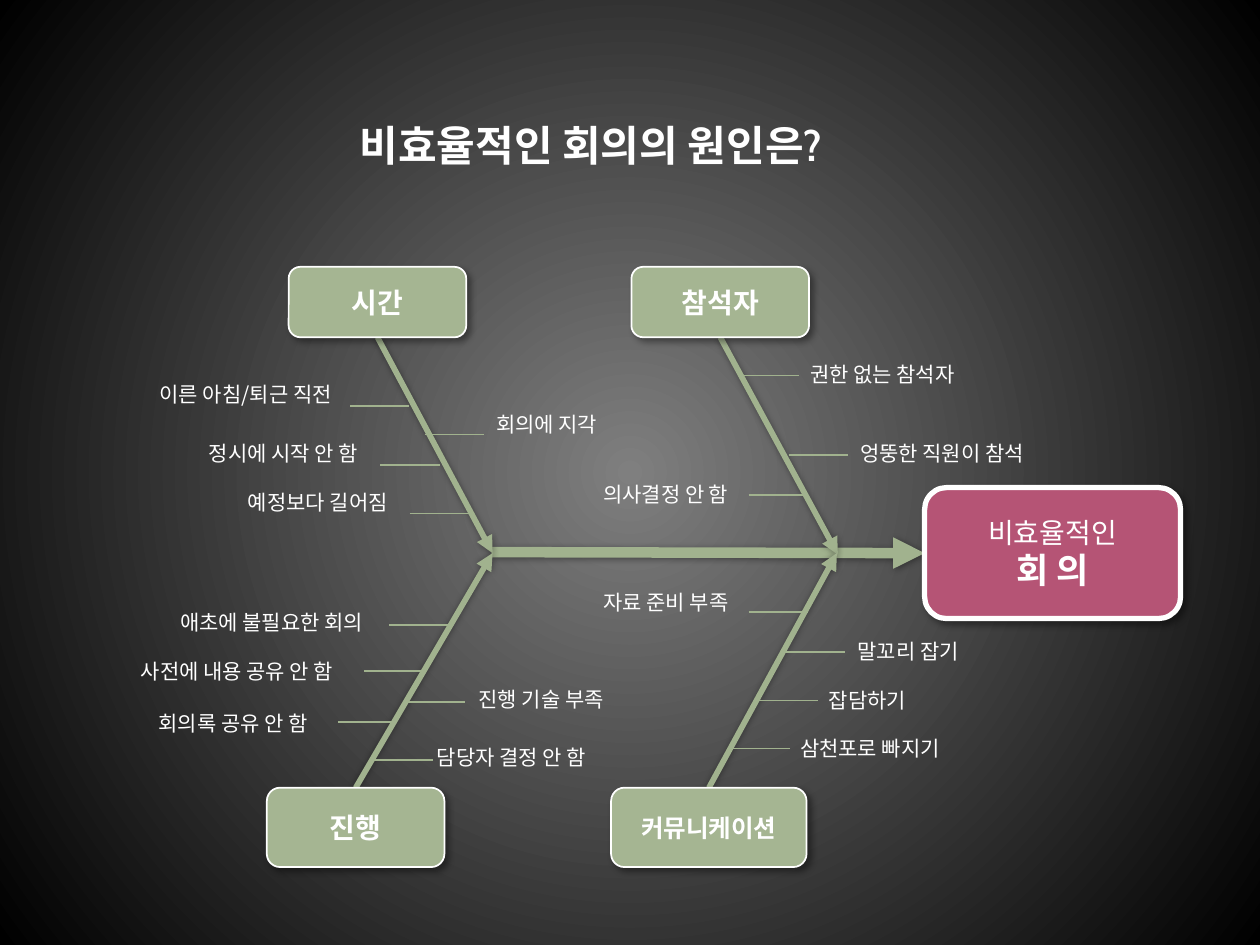
from lxml import etree
from pptx import Presentation, oxml, util as u
from pptx.dml.color import RGBColor
from pptx.enum import shapes, text
from pptx.oxml.ns import nsdecls, qn

COLORS = {"white": "FFFFFF", "line": "A1B28E", "cause": "A5B592",
          "effect": "B55475", "glow": "7F7F7F", "edge": "000000"}
FONT = "Noto Sans CJK KR"
TWIG = 1.19
TOP, BOTTOM = 0, 2

# name, box (left, top, width, height), text size, joined side, tip of the bone
CAUSES = [
    ("시간", (5.82, 5.38, 3.58, 1.42), 16, BOTTOM, (9.93, 11.15)),
    ("참석자", (12.73, 5.38, 3.58, 1.42), 16, BOTTOM, (16.89, 11.18)),
    ("진행", (5.38, 15.88, 3.58, 1.6), 16, TOP, (9.93, 11.15)),
    ("커뮤니케이션", (12.32, 15.88, 3.94, 1.6), 14, TOP, (16.87, 11.15)),
]

# wording, label (left, top, width), start of the twig (x, y)
DETAILS = [
    ("이른 아침/퇴근 직전", (2.97, 7.57, 4.95), (7.06, 8.18)),
    ("정시에 시작 안 함", (3.96, 8.76, 4.95), (7.67, 9.37)),
    ("회의에 지각", (9.75, 8.18, 3.18), (8.56, 8.76)),
    ("예정보다 길어짐", (4.75, 9.75, 4.95), (8.26, 10.35)),
    ("사전에 내용 공유 안 함", (2.59, 13.16, 4.95), (7.34, 13.52)),
    ("권한 없는 참석자", (16.08, 7.16, 4.55), (14.91, 7.57)),
    ("의사결정 안 함", (11.91, 9.58, 3.56), (15.09, 9.98)),
    ("엉뚱한 직원이 참석", (17.09, 8.76, 4.95), (15.9, 9.17)),
    ("회의록 공유 안 함", (2.95, 14.2, 4.95), (6.81, 14.55)),
    ("담당자 결정 안 함", (8.56, 14.88, 4.95), (7.54, 15.32)),
    ("애초에 불필요한 회의", (3.38, 12.17, 5.36), (7.85, 12.6)),
    ("자료 준비 부족", (11.91, 11.76, 3.58), (15.09, 12.34)),
    ("말꼬리 잡기", (17.04, 12.75, 4.95), (15.85, 13.14)),
    ("삼천포로 빠지기", (15.88, 14.71, 4.95), (14.73, 15.09)),
    ("잡담하기", (16.46, 13.74, 3.58), (15.29, 14.12)),
    ("진행 기술 부족", (9.4, 13.72, 4.95), (8.18, 14.15)),
]


def cm(values):
    return [u.Cm(value) for value in values]


def rgb(name):
    return RGBColor.from_string(COLORS[name])


class Fishbone:
    """Style of the diagram and the slide it is drawn on."""

    def __init__(self, slide):
        self.slide = slide

    def background(self):
        """Radial gradient, light in the middle."""
        stops = "".join(
            f'<a:gs pos="{place}"><a:srgbClr val="{COLORS[name]}"/></a:gs>'
            for place, name in ((0, "glow"), (100000, "edge")))
        fill = self.slide.background.fill
        fill.solid()
        properties = self.slide.element.cSld.find(qn("p:bg")).find(qn("p:bgPr"))
        properties.replace(properties[0], oxml.parse_xml(
            f'<a:gradFill {nsdecls("a")} rotWithShape="1"><a:gsLst>{stops}</a:gsLst>'
            '<a:path path="circle"><a:fillToRect l="50000" t="50000" r="50000" '
            'b="50000"/></a:path></a:gradFill>'))

    def effects(self, shape, distance=None):
        """Give a shadow at this distance in points, or none at all."""
        properties = shape.element.spPr
        for old in properties.findall(qn("a:effectLst")):
            properties.remove(old)
        effects = etree.SubElement(properties, qn("a:effectLst"))
        if distance is not None:
            effects.append(oxml.parse_xml(
                f'<a:outerShdw {nsdecls("a")} blurRad="{u.Pt(4)}" '
                f'dist="{u.Pt(distance)}" dir="2700000" algn="tl" rotWithShape="0">'
                f'<a:srgbClr val="{COLORS["edge"]}"><a:alpha val="40000"/></a:srgbClr>'
                '</a:outerShdw>'))

    def line(self, start, end, weight, shadow=None, arrow=False):
        line = self.slide.shapes.add_connector(
            shapes.MSO_CONNECTOR.STRAIGHT, *cm(start), *cm(end))
        line.line.color.rgb = rgb("line")
        line.line.width = u.Pt(weight)
        if arrow:
            etree.SubElement(line.line._get_or_add_ln(), qn("a:tailEnd"), type="triangle")
        self.effects(line, shadow)
        return line

    def style(self, span, size, bold, face=FONT):
        span.font.size, span.font.bold, span.font.name = u.Pt(size), bold, face
        span.font.color.rgb = rgb("white")
        span.font._element.find(qn("a:latin")).addnext(
            oxml.parse_xml(f'<a:ea {nsdecls("a")} typeface="{FONT}"/>'))

    def label(self, wording, place, size=12, bold=False, face=FONT, align=None):
        box = self.slide.shapes.add_textbox(*cm(place))
        frame = box.text_frame
        frame.word_wrap = True
        frame.auto_size = text.MSO_AUTO_SIZE.SHAPE_TO_FIT_TEXT
        frame.text = wording
        para = frame.paragraphs[0]
        para.alignment = align
        self.style(para.runs[0], size, bold, face)

    def box(self, wording, place, fill, border, looks):
        """Rounded box; looks holds (size, bold) for each line of wording."""
        box = self.slide.shapes.add_shape(
            shapes.MSO_SHAPE.ROUNDED_RECTANGLE, *cm(place))
        box.fill.solid()
        box.fill.fore_color.rgb = rgb(fill)
        box.line.color.rgb = rgb("white")
        box.line.width = u.Pt(border)
        self.effects(box, 3)
        frame = box.text_frame
        frame.vertical_anchor = text.MSO_ANCHOR.MIDDLE
        frame.text = wording
        para = frame.paragraphs[0]
        para.alignment = text.PP_ALIGN.CENTER
        for span, (size, bold) in zip(para.runs, looks):
            self.style(span, size, bold)
        return box


def main():
    deck = Presentation()
    deck.slide_width, deck.slide_height = cm((25.4, 19.05))
    page = Fishbone(deck.slides.add_slide(deck.slide_layouts[6]))
    page.background()

    spine = page.line((9.91, 11.13), (18.57, 11.15), 6, shadow=1, arrow=True)
    bones = []
    for _, (left, top, width, height), _, side, tip in CAUSES:
        root = (left + width / 2, top + height if side == BOTTOM else top)
        bones.append(page.line(root, tip, 3.25, shadow=0, arrow=True))

    for wording, place, _ in DETAILS:
        page.label(wording, (*place, 0.76))
    for _, _, (x, y) in DETAILS:
        page.line((x, y), (x + TWIG, y), 1)

    effect = page.box("비효율적인\v회 의", (18.64, 9.83, 5.16, 2.64), "effect", 3,
                      [(16, False), (20, True)])
    spine.end_connect(effect, 1)
    for bone, (name, place, size, side, _) in zip(bones, CAUSES):
        bone.begin_connect(page.box(name, place, "cause", 1, [(size, True)]), side)

    page.label("비효율적인 회의의 원인은?", (5.56, 2.29, 12.7, 1.27), 24, True,
               "Cabin", text.PP_ALIGN.CENTER)
    deck.save("out.pptx")


if __name__ == "__main__":
    main()
